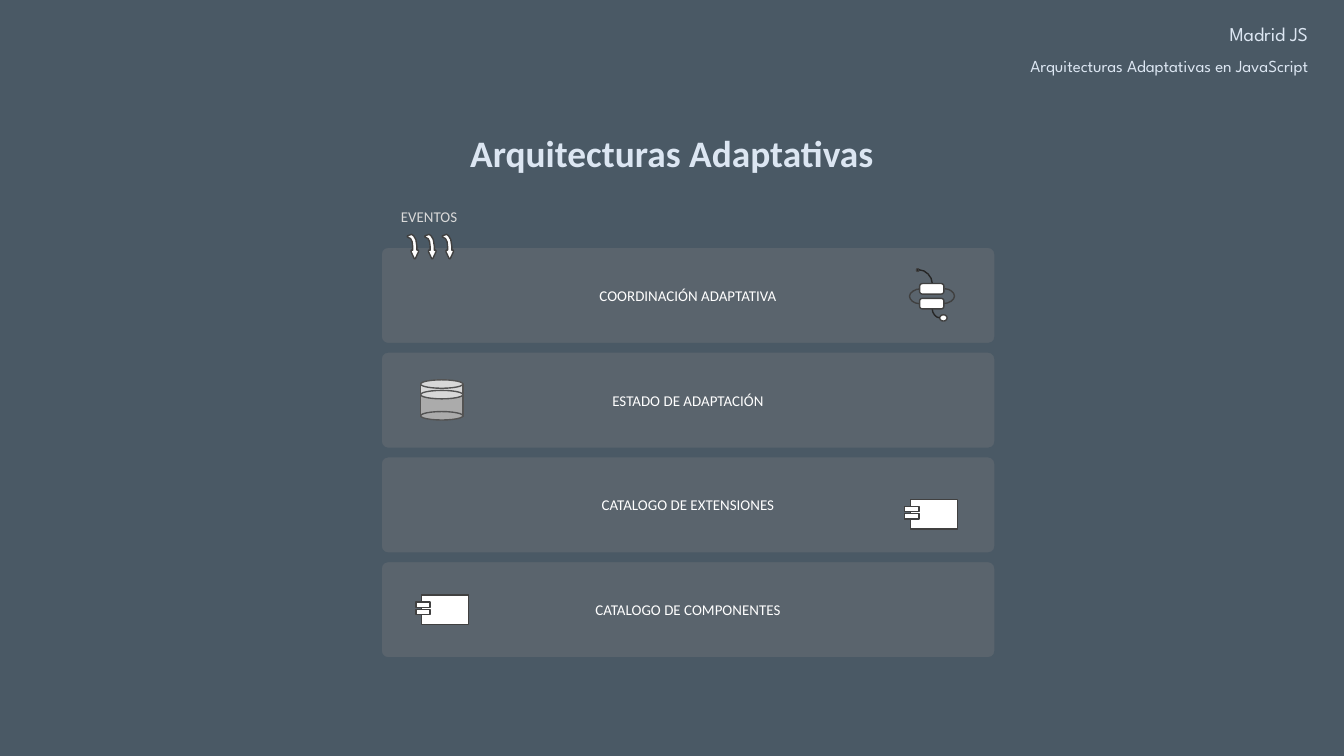
from lxml.etree import SubElement
from pptx import Presentation
from pptx.dml.color import RGBColor
from pptx.enum.shapes import MSO_CONNECTOR, MSO_SHAPE
from pptx.enum.text import MSO_ANCHOR, PP_ALIGN
from pptx.oxml.ns import qn
from pptx.util import Cm, Pt

COLORS = {
    "background": "2B3C4B",
    "heading": "DCE6F2",
    "label": "D9D9D9",
    "white": "FFFFFF",
    "band": "808080",
    "band_line": "4A5965",
    "drum": "BFBFBF",
    "outline": "404040",
    "cable": "262626",
    "plug": "0D0D0D",
}
BAND_LEFT, BAND_TOP, BAND_STEP = 7.19, 4.66, 1.98
BAND_WIDTH, BAND_HEIGHT = 11.63, 1.85
BANDS = ["COORDINACIÓN ADAPTATIVA", "ESTADO DE ADAPTACIÓN",
         "CATALOGO DE EXTENSIONES", "CATALOGO DE COMPONENTES"]
# Outline of one bent arrow, in hundredths of a centimetre
ARROW = [(8, 0), (12, 3), (16, 10), (18, 23), (18, 30), (21, 30), (21, 33),
         (15, 46), (13, 46), (7, 33), (7, 30), (10, 30), (10, 23), (9, 14),
         (6, 8), (0, 5), (0, 3)]


def color(name):
    return RGBColor.from_string(COLORS[name])


def style_shape(shape, fill, line="outline", line_width=0.75, opacity=None):
    shape.shadow.inherit = False
    shape.fill.solid()
    shape.fill.fore_color.rgb = color(fill)
    if opacity is not None:
        solid = shape._element.spPr.find(qn("a:solidFill"))
        SubElement(solid[0], qn("a:alpha"), val=str(opacity * 1000))
    if line is None:
        shape.line.fill.background()
    else:
        shape.line.color.rgb = color(line)
        shape.line.width = Pt(line_width)


def add_block(shapes, kind, left, top, width, height, fill, corner=None, **style):
    shape = shapes.add_shape(kind, Cm(left), Cm(top), Cm(width), Cm(height))
    if corner is not None:
        shape.adjustments[0] = corner
    style_shape(shape, fill, **style)
    return shape


def write_paragraph(paragraph, text, size, font="Calibri", fill="white", bold=False,
                    align=PP_ALIGN.CENTER, line_spacing=None, space_before=None):
    paragraph.alignment = align
    if line_spacing is not None:
        paragraph.line_spacing = Pt(line_spacing)
    if space_before is not None:
        paragraph.space_before = Pt(space_before)
    run = paragraph.add_run()
    run.text = text
    run.font.size = Pt(size)
    run.font.name = font
    run.font.bold = bold
    run.font.color.rgb = color(fill)


def add_text_frame(shapes, left, top, width, height, wrap=True):
    frame = shapes.add_textbox(Cm(left), Cm(top), Cm(width), Cm(height)).text_frame
    frame.word_wrap = wrap
    return frame


def add_curve(shapes, begin, end, line, preset, bend=None):
    connector = shapes.add_connector(
        MSO_CONNECTOR.CURVE, *[Cm(value) for value in (*begin, *end)])
    connector.line.color.rgb = color(line)
    connector.line.width = Pt(0.75)
    properties = connector._element.spPr
    SubElement(properties, qn("a:effectLst"))
    geometry = properties.find(qn("a:prstGeom"))
    geometry.set("prst", preset)
    if bend is not None:
        guides = geometry.find(qn("a:avLst"))
        if guides is None:
            guides = SubElement(geometry, qn("a:avLst"))
        SubElement(guides, qn("a:gd"), name="adj1", fmla=f"val {bend * 1000}")


def add_band(shapes, index, text):
    band = add_block(shapes, MSO_SHAPE.ROUNDED_RECTANGLE, BAND_LEFT,
                     BAND_TOP + index * BAND_STEP, BAND_WIDTH, BAND_HEIGHT, "band",
                     corner=0.078, line="band_line", line_width=1.5, opacity=30)
    band.text_frame.word_wrap = True
    band.text_frame.vertical_anchor = MSO_ANCHOR.MIDDLE
    write_paragraph(band.text_frame.paragraphs[0], text, 8)


def add_database(shapes, left, width=0.8):
    for kind, top, height, fill in [
        (MSO_SHAPE.RECTANGLE, 7.44, 0.43, "drum"),
        (MSO_SHAPE.OVAL, 7.78, 0.16, "drum"),
        (MSO_SHAPE.OVAL, 7.37, 0.16, "drum"),
        (MSO_SHAPE.RECTANGLE, 7.26, 0.2, "white"),
        (MSO_SHAPE.OVAL, 7.38, 0.16, "white"),
        (MSO_SHAPE.OVAL, 7.18, 0.16, "white"),
    ]:
        add_block(shapes, kind, left, top, width, height, fill)


def add_coordinator(shapes):
    # Cable ends
    add_block(shapes, MSO_SHAPE.OVAL, 17.32, 5.08, 0.05, 0.05, "plug")
    add_block(shapes, MSO_SHAPE.OVAL, 17.76, 5.95, 0.14, 0.12, "white")
    # Cables and side loops
    add_curve(shapes, (17.37, 5.1), (17.62, 5.36), "cable", "curvedConnector2")
    add_curve(shapes, (17.76, 6.01), (17.62, 5.84), "cable", "curvedConnector2")
    add_curve(shapes, (17.4, 5.46), (17.37, 5.74), "outline", "curvedConnector3", 700)
    add_curve(shapes, (17.83, 5.74), (17.86, 5.46), "outline", "curvedConnector3", 700)
    # Connector halves
    for top in (5.64, 5.36):
        add_block(shapes, MSO_SHAPE.ROUNDED_RECTANGLE, 17.38, top, 0.46, 0.2,
                  "white", corner=0.265)


def add_component(shapes, left, top):
    add_block(shapes, MSO_SHAPE.RECTANGLE, left + 0.11, top, 0.89, 0.56, "white")
    for offset in (0.13, 0.27):
        add_block(shapes, MSO_SHAPE.RECTANGLE, left, top + offset, 0.27, 0.1, "white")


def add_event_arrow(shapes, left, top):
    points = [(left * 100 + x, top * 100 + y) for x, y in ARROW]
    builder = shapes.build_freeform(*points[0], scale=Cm(0.01))
    builder.add_line_segments(points[1:], close=True)
    style_shape(builder.convert_to_shape(), "white")


def main():
    presentation = Presentation()
    presentation.slide_width, presentation.slide_height = Cm(25.4), Cm(14.29)
    slide = presentation.slides.add_slide(presentation.slide_layouts[6])
    shapes = slide.shapes

    # Background tint
    add_block(shapes, MSO_SHAPE.RECTANGLE, 0, 0, 25.4, 14.29, "background",
              line=None, opacity=85)

    # Header
    header = add_text_frame(shapes, 15.44, 0.38, 9.53, 0.89)
    style = {"font": "League Spartan", "fill": "heading", "align": PP_ALIGN.RIGHT}
    write_paragraph(header.paragraphs[0], "Madrid JS", 10.5, line_spacing=10, **style)
    write_paragraph(header.add_paragraph(), "Arquitecturas Adaptativas en JavaScript", 9,
                    line_spacing=14.6, space_before=2, **style)

    # Title and events label
    title = add_text_frame(shapes, 8.6, 2.34, 8.2, 1.12, wrap=False)
    write_paragraph(title.paragraphs[0], "Arquitecturas Adaptativas", 20,
                    fill="heading", bold=True)
    events = add_text_frame(shapes, 6.88, 3.86, 2.46, 0.46)
    events.vertical_anchor = MSO_ANCHOR.MIDDLE
    events.margin_top = events.margin_bottom = Cm(0.2)
    write_paragraph(events.paragraphs[0], "EVENTOS", 8, fill="label")

    # Database behind the translucent bands
    add_database(shapes.add_group_shape().shapes, 7.95)
    bands = shapes.add_group_shape().shapes
    for index, text in enumerate(BANDS):
        add_band(bands, index, text)

    # Icons on the bands
    add_coordinator(shapes.add_group_shape().shapes)
    for left, top in [(17.1, 9.44), (7.86, 11.25)]:
        add_component(shapes.add_group_shape().shapes, left, top)
    arrows = shapes.add_group_shape().shapes
    for index in range(3):
        add_event_arrow(arrows, 7.7 + index * 0.33, 4.43)

    presentation.save("out.pptx")


if __name__ == "__main__":
    main()
